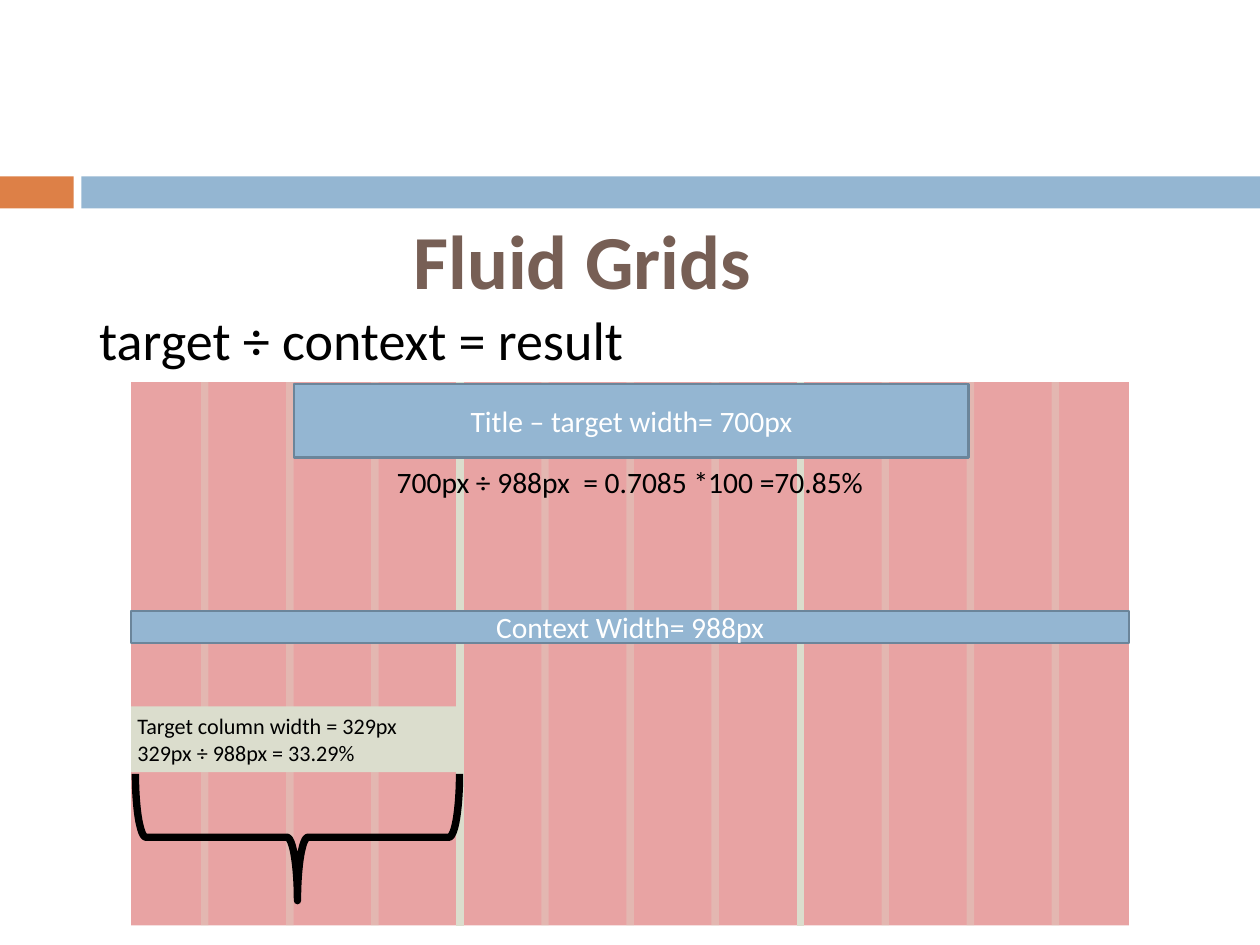
from lxml import etree
from pptx import Presentation
from pptx.dml.color import RGBColor
from pptx.enum import shapes, text
from pptx.oxml import ns
from pptx.util import Pt

BLUE, ORANGE, BROWN = "94B6D2", "DD8047", "775F55"
SAGE, RED, SLATE = "DBDDCD", "C00000", "6B859A"
BLACK, WHITE = "000000", "FFFFFF"
SHAPE = shapes.MSO_SHAPE
CENTER = text.PP_ALIGN.CENTER
MIDDLE, TOP = text.MSO_ANCHOR.MIDDLE, text.MSO_ANCHOR.TOP


def points(box):
    return [Pt(value) for value in box]


def paint(target, color, opacity=100):
    target.solid()
    target.fore_color.rgb = RGBColor.from_string(color)
    if opacity < 100:
        element = target.fore_color._xFill.find(ns.qn("a:srgbClr"))
        etree.SubElement(element, ns.qn("a:alpha"), val=str(opacity * 1000))


def add_block(slide, box, fill=None, opacity=100, outline=None, width=2, kind=SHAPE.RECTANGLE):
    shape = slide.shapes.add_shape(kind, *points(box))
    shape.shadow.inherit = False
    if fill:
        paint(shape.fill, fill, opacity)
    else:
        shape.fill.background()
    if outline:
        paint(shape.line.fill, outline)
        shape.line.width = Pt(width)
    else:
        shape.line.fill.background()
    return shape


def write(shape, wording, size, color, align=text.PP_ALIGN.LEFT, anchor=TOP, bold=False, wrap=True):
    frame = shape.text_frame
    settings = {"word_wrap": wrap, "vertical_anchor": anchor}
    settings.update({f"margin_{side}": Pt(5) for side in ("left", "top", "right", "bottom")})
    for name, value in settings.items():
        setattr(frame, name, value)
    paragraph = frame.paragraphs[0]
    paragraph.text = wording
    paragraph.alignment = align
    for name, value in {"name": "Calibri", "size": Pt(size), "bold": bold}.items():
        setattr(paragraph.font, name, value)
    paragraph.font.color.rgb = RGBColor.from_string(color)


def add_label(slide, box, *wording, **format_values):
    write(slide.shapes.add_textbox(*points(box)), *wording, **format_values)


def add_band(slide, box):
    left, top, width, height = box
    tab, gap = 59.8, 6.4
    add_block(slide, (left, top, tab, height), ORANGE)
    add_block(slide, (left + tab + gap, top, width - tab - gap, height), BLUE)


def add_grid(slide, box):
    left, top, width, height = box
    add_block(slide, box, RED, 36)
    first, step = 59.8, 69.12
    for column in range(11):
        x = left + first + column * step
        line = slide.shapes.add_connector(
            shapes.MSO_CONNECTOR.STRAIGHT, *points((x, top, x, top + height)))
        paint(line.line.fill, SAGE, 100 if column in (3, 7) else 35)
        line.line.width = Pt(6)
        etree.SubElement(line._element.spPr, ns.qn("a:effectLst"))


def add_column_note(slide, box):
    left, top, width, height = box
    note = add_block(slide, box, SAGE)
    write(note, "Target column width = 329px\v329px ÷ 988px = 33.29%", 18, BLACK)
    span, depth = width - 3.6, 103
    center_x, center_y = left + width / 2 + 1.6, top + height + 1.4 + depth / 2
    brace = add_block(slide, (center_x - depth / 2, center_y - span / 2, depth, span),
                      outline=BLACK, width=6, kind=SHAPE.RIGHT_BRACE)
    brace.rotation = 90
    etree.SubElement(brace.line._get_or_add_ln(), ns.qn("a:round"))


def add_diagram(slide, box):
    left, top, width, height = box
    add_grid(slide, box)
    add_column_note(slide, (left, top + 263.5, 267, 53.3))
    title = add_block(slide, (left + 132.5, top + 1.4, 548, 59.8), BLUE, outline=SLATE)
    write(title, "Title – target width= 700px", 24, WHITE, CENTER, MIDDLE)
    add_label(slide, (left + 152.6, top + 61.2, 505.4, 39),
              "700px ÷ 988px  = 0.7085 *100 =70.85%", 24, BLACK, align=CENTER)
    context = add_block(slide, (left, top + 185.8, width, 26), BLUE, outline=SLATE)
    write(context, "Context Width= 988px", 24, WHITE, CENTER, MIDDLE)


def add_fluid_grids(presentation):
    slide = presentation.slides.add_slide(presentation.slide_layouts[6])
    add_band(slide, (0, 143.3, 1023.84, 25.9))
    add_label(slide, (331.2, 161.3, 314.6, 98.6), "Fluid Grids", 62, BROWN,
              anchor=MIDDLE, bold=True)
    add_label(slide, (75.6, 243.4, 506.9, 63.4), "target ÷ context = result", 44, BLACK,
              wrap=False)
    add_diagram(slide, (106.6, 310.3, 810.7, 441.4))


def main():
    presentation = Presentation()
    presentation.slide_width, presentation.slide_height = points((1023.84, 767.52))
    add_fluid_grids(presentation)
    presentation.save("out.pptx")


if __name__ == "__main__":
    main()
